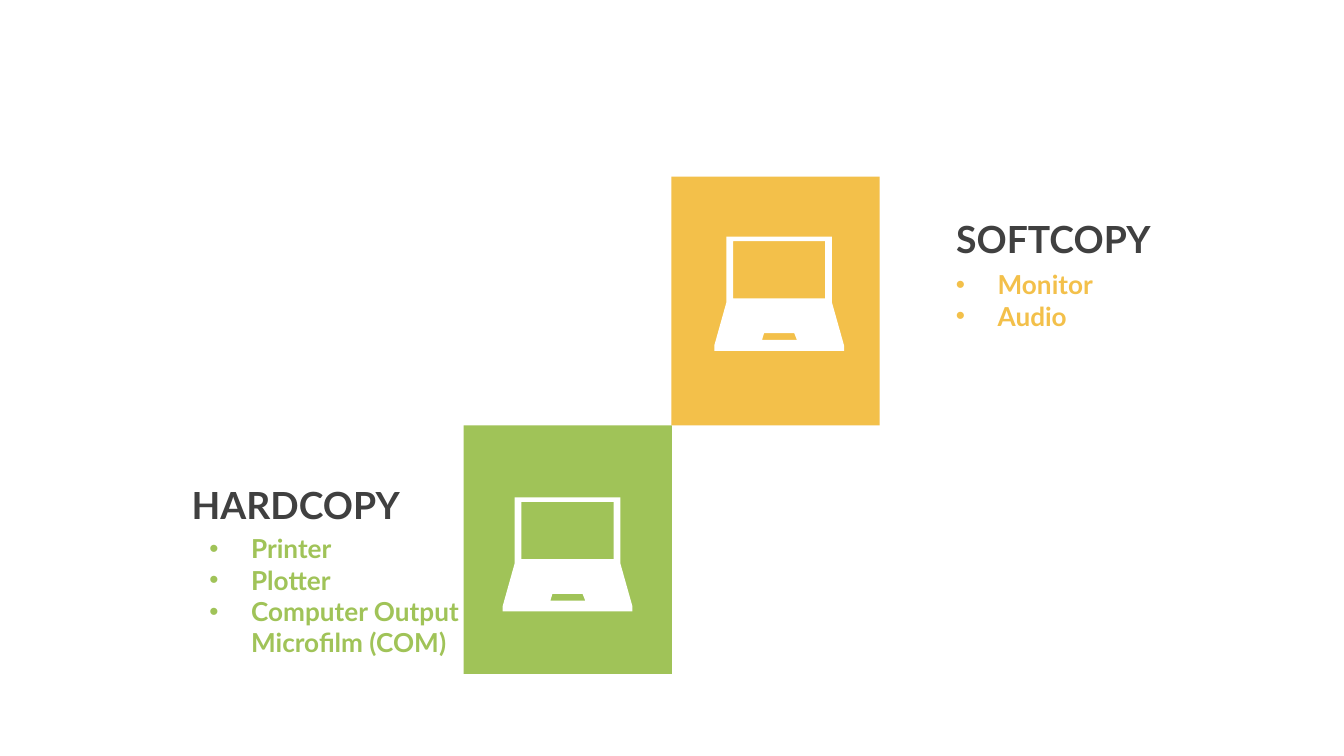
from dataclasses import dataclass

from lxml import etree
from pptx import Presentation
from pptx.dml.color import RGBColor
from pptx.enum.shapes import MSO_SHAPE
from pptx.enum.text import MSO_ANCHOR, MSO_AUTO_SIZE, PP_ALIGN
from pptx.oxml.ns import qn
from pptx.util import Emu, Pt

RECTANGLE = MSO_SHAPE.RECTANGLE
MIDDLE, TOP = MSO_ANCHOR.MIDDLE, MSO_ANCHOR.TOP
LEFT, RIGHT = PP_ALIGN.LEFT, PP_ALIGN.RIGHT
GROW, FIXED = MSO_AUTO_SIZE.SHAPE_TO_FIT_TEXT, MSO_AUTO_SIZE.NONE

PX = 4572  # 200 px to the inch
PAGE_WIDTH, PAGE_HEIGHT = 2000, 1125
FONT = "Lato"
INDENT = 62
TILE_SIZE = (310, 370)
COLORS = {
    "yellow": "F3C04A",
    "green": "A0C358",
    "heading": "404040",
    "white": "FFFFFF",
}
HEADING_FORMAT = {"line_spacing": 1.1, "space_before": Pt(4)}
LAPTOP_OUTLINES = [
    [(74, 144), (71, 154), (123, 154), (119, 144)],
    [(28, 7), (28, 92), (165, 92), (165, 7)],
    [(18, 0), (175, 0), (175, 98), (193, 162), (193, 170),
     (0, 170), (0, 162), (18, 98)],
]


@dataclass
class Area:
    left: int
    top: int
    width: int
    height: int

    def emu(self) -> list[Emu]:
        return [Emu(n * PX) for n in (self.left, self.top, self.width, self.height)]


@dataclass
class OutputType:
    title: str
    items: list[str]
    color: str
    alignment: PP_ALIGN
    tile: Area
    heading: Area
    listing: Area
    laptop: tuple[int, int]


OUTPUT_TYPES = [
    OutputType("HARDCOPY", ["Printer", "Plotter", "Computer Output Microfilm (COM)"],
               "green", RIGHT, Area(690, 633, *TILE_SIZE),
               Area(55, 661, 560, 174), Area(292, 783, 478, 208), (748, 740)),
    OutputType("SOFTCOPY", ["Monitor", "Audio"],
               "yellow", LEFT, Area(999, 263, *TILE_SIZE),
               Area(1403, 264, 478, 174), Area(1403, 390, 560, 114), (1063, 352)),
]


def set_all(target, values: dict) -> None:
    for name, value in values.items():
        setattr(target, name, value)


def paint(shape, color: str) -> None:
    shape.fill.solid()
    shape.fill.fore_color.rgb = RGBColor.from_string(COLORS[color])
    shape.line.fill.background()
    shape.shadow.inherit = False


def add_bullet(para) -> None:
    properties = para._p.get_or_add_pPr()
    properties.set("marL", str(INDENT * PX))
    properties.set("indent", str(-INDENT * PX))
    etree.SubElement(properties, qn("a:buFont"), typeface="Arial")
    etree.SubElement(properties, qn("a:buChar"), char="•")


def add_text(page, area: Area, lines: list[str], size: int, color: str,
             frame_format: dict, para_format: dict, bulleted: bool = False) -> None:
    frame = page.shapes.add_textbox(*area.emu()).text_frame
    set_all(frame, {"word_wrap": True, **frame_format})
    for index, line in enumerate(lines):
        para = frame.add_paragraph() if index else frame.paragraphs[0]
        set_all(para, para_format)
        if bulleted:
            add_bullet(para)
        span = para.add_run()
        span.text = line
        set_all(span.font, {"name": FONT, "size": Pt(size), "bold": True})
        span.font.color.rgb = RGBColor.from_string(COLORS[color])


def add_laptop(page, left: int, top: int) -> None:
    """Draw the laptop as one outline with the screen and touchpad cut out."""
    builder = page.shapes.build_freeform(*LAPTOP_OUTLINES[0][0], scale=PX)
    for index, outline in enumerate(LAPTOP_OUTLINES):
        if index:
            builder.move_to(*outline[0])
        builder.add_line_segments(outline[1:], close=True)
    paint(builder.convert_to_shape(Emu(left * PX), Emu(top * PX)), "white")


def add_output_type(page, kind: OutputType) -> None:
    paint(page.shapes.add_shape(RECTANGLE, *kind.tile.emu()), kind.color)
    add_text(page, kind.heading, [kind.title], 20, "heading",
             {"vertical_anchor": MIDDLE, "auto_size": FIXED},
             {"alignment": kind.alignment, **HEADING_FORMAT})
    add_text(page, kind.listing, kind.items, 14, kind.color,
             {"vertical_anchor": TOP, "auto_size": GROW},
             {"alignment": LEFT}, bulleted=True)
    add_laptop(page, *kind.laptop)


def main() -> None:
    deck = Presentation()
    set_all(deck, {"slide_width": Emu(PAGE_WIDTH * PX),
                   "slide_height": Emu(PAGE_HEIGHT * PX)})
    page = deck.slides.add_slide(deck.slide_layouts[6])
    for kind in OUTPUT_TYPES:
        add_output_type(page, kind)
    deck.save("out.pptx")


if __name__ == "__main__":
    main()
